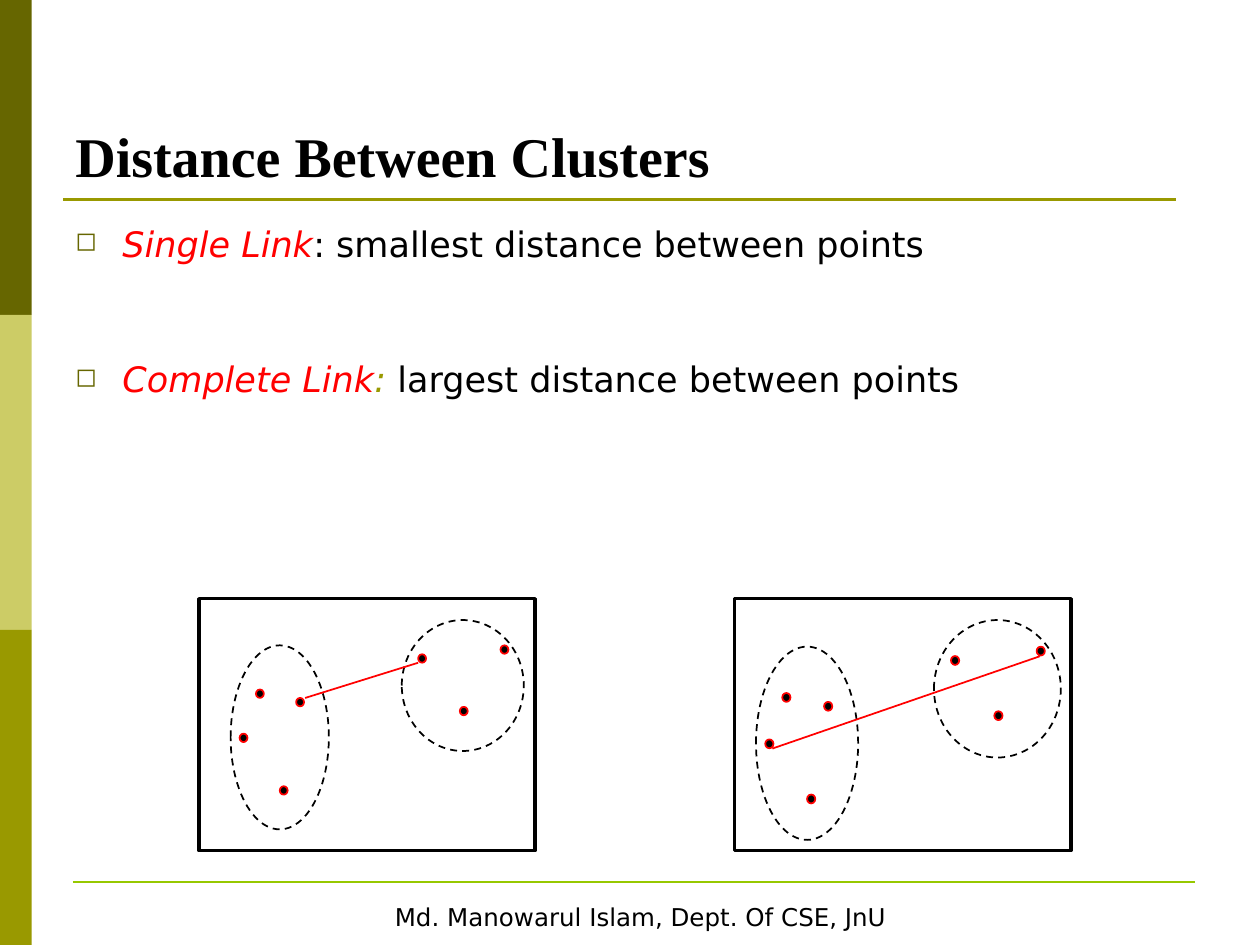
"""Build the slide on single-link and complete-link cluster distance."""
import dataclasses

import lxml.etree
import pptx
import pptx.dml.color
import pptx.enum.dml
import pptx.enum.shapes
import pptx.enum.text
import pptx.oxml.ns
import pptx.util

Cm = pptx.util.Cm
Pt = pptx.util.Pt
Shape = pptx.enum.shapes.MSO_SHAPE
qn = pptx.oxml.ns.qn


@dataclasses.dataclass(frozen=True)
class Theme:
    """Colours, fonts and type sizes of the slide."""
    ink: str = "000000"
    paper: str = "FFFFFF"
    accent: str = "FF0000"
    dark_olive: str = "666600"
    light_olive: str = "CCCC66"
    olive: str = "999900"
    lime: str = "96C800"
    heading_font: str = "Times New Roman"
    body_font: str = "DejaVu Sans"
    title_size: int = 32
    body_size: int = 20
    footer_size: int = 14


THEME = Theme()
DOTS = [(0.51, 1.4), (1.32, 1.57), (0.99, 3.35), (0.18, 2.29),
        (4.62, 1.75), (3.78, 0.69), (5.44, 0.51)]
CLUSTERS = [(0, 0.51, 1.98, 3.71), (3.45, 0, 2.46, 2.64)]


def rgb(value):
    """Return a colour object for a hex value."""
    return pptx.dml.color.RGBColor.from_string(value)


def add_figure(shapes, kind, place, fill=None, line=None, width=1, dashed=False):
    """Add a preset shape placed in centimetres."""
    figure = shapes.add_shape(kind, *map(Cm, place))
    figure.shadow.inherit = False
    if fill:
        figure.fill.solid()
        figure.fill.fore_color.rgb = rgb(fill)
    else:
        figure.fill.background()
    if line:
        figure.line.color.rgb = rgb(line)
        figure.line.width = Pt(width)
    else:
        figure.line.fill.background()
    if dashed:
        figure.line.dash_style = pptx.enum.dml.MSO_LINE.DASH
    return figure


def add_rule(shapes, start, end, color, width):
    """Add a straight line without a shadow."""
    rule = shapes.add_connector(pptx.enum.shapes.MSO_CONNECTOR.STRAIGHT,
                                *map(Cm, start + end))
    rule.line.color.rgb = rgb(color)
    rule.line.width = Pt(width)
    lxml.etree.SubElement(rule.element.spPr, qn("a:effectLst"))


def set_font(font, name, size, color):
    """Set the face, size and colour of a font."""
    font.name = name
    font.size = Pt(size)
    font.color.rgb = rgb(color)


def add_text_box(shapes, place):
    """Add a wrapping text box and return its frame."""
    frame = shapes.add_textbox(*map(Cm, place)).text_frame
    frame.word_wrap = True
    return frame


def add_bullet(para):
    """Give a paragraph a hanging hollow-square bullet."""
    properties = para._p.get_or_add_pPr()
    properties.set("marL", str(Cm(0.95)))
    properties.set("indent", str(-Cm(0.95)))
    color = lxml.etree.SubElement(properties, qn("a:buClr"))
    lxml.etree.SubElement(color, qn("a:srgbClr"), val=THEME.dark_olive)
    lxml.etree.SubElement(properties, qn("a:buSzPct"), val="75000")
    lxml.etree.SubElement(properties, qn("a:buChar"), char="◻")


def add_definition(para, parts, space_before):
    """Fill a bulleted paragraph with (text, colour, italic) parts."""
    add_bullet(para)
    para.line_spacing = 0.9
    para.space_before = Pt(space_before)
    para.font.name = THEME.body_font
    para.font.size = Pt(THEME.body_size)
    for text, color, italic in parts:
        span = para.add_run()
        span.text = text
        set_font(span.font, THEME.body_font, THEME.body_size, color)
        span.font.italic = italic


def add_backdrop(shapes):
    """Add the side stripes and the two horizontal rules."""
    for row, color in enumerate((THEME.dark_olive, THEME.light_olive, THEME.olive)):
        add_figure(shapes, Shape.RECTANGLE, (0, row * 6.35, 0.64, 6.35), color)
    add_rule(shapes, (1.27, 4.02), (23.7, 4.02), THEME.olive, 1.5)
    add_rule(shapes, (1.47, 17.78), (24.08, 17.78), THEME.lime, 1.5)


def add_footer(shapes, text):
    """Add the centred author line."""
    box = add_figure(shapes, Shape.RECTANGLE, (1.27, 18.03, 23.29, 0.89),
                     THEME.paper, THEME.paper, 2)
    box.text_frame.word_wrap = False
    para = box.text_frame.paragraphs[0]
    para.text = text
    para.alignment = pptx.enum.text.PP_ALIGN.CENTER
    set_font(para.font, THEME.body_font, THEME.footer_size, THEME.ink)


def add_title(shapes, text):
    """Add the bottom-anchored slide title."""
    frame = add_text_box(shapes, (1.27, 0.76, 22.86, 3.18))
    frame.vertical_anchor = pptx.enum.text.MSO_ANCHOR.BOTTOM
    para = frame.paragraphs[0]
    para.text = text
    set_font(para.font, THEME.heading_font, THEME.title_size, THEME.ink)
    para.font.bold = True


def add_definitions(shapes):
    """Add the two link definitions."""
    frame = add_text_box(shapes, (1.27, 4.45, 22.86, 12.57))
    add_definition(frame.paragraphs[0], [
        ("Single Link", THEME.accent, True),
        (": smallest distance between points", THEME.ink, False)], 0)
    add_definition(frame.add_paragraph(), [
        ("Complete Link", THEME.accent, True),
        (":", THEME.olive, True),
        (" largest distance between points", THEME.ink, False)], 55.6)


def add_diagram(shapes, frame_left, left, scale, link):
    """Add a framed pair of clusters joined by a link line."""
    group = shapes.add_group_shape().shapes
    top = 12.5
    across, down = scale
    for x, y in DOTS:
        add_figure(group, Shape.OVAL,
                   (left + x * across, top + y * down, 0.16 * across, 0.17 * down),
                   THEME.ink, THEME.accent)
    for x, y, width, height in CLUSTERS:
        add_figure(group, Shape.OVAL,
                   (left + x * across, top + y * down, width * across, height * down),
                   line=THEME.ink, dashed=True)
    add_rule(group, *link, THEME.accent, 1)
    add_figure(group, Shape.RECTANGLE, (frame_left, 12.07, 6.78, 5.08),
               line=THEME.ink, width=2)


def main():
    """Build and save the slide."""
    deck = pptx.Presentation()
    deck.slide_width, deck.slide_height = Cm(25.4), Cm(19.05)
    page = deck.slides.add_slide(deck.slide_layouts[6])
    add_backdrop(page.shapes)
    add_footer(page.shapes, "Md. Manowarul Islam, Dept. Of CSE, JnU")
    add_title(page.shapes, "Distance Between Clusters")
    add_definitions(page.shapes)
    add_diagram(page.shapes, 4.01, 4.65, (1, 1), ((6.15, 14.07), (8.43, 13.36)))
    add_diagram(page.shapes, 14.81, 15.24, (1.04, 1.05),
                ((15.57, 15.09), (20.96, 13.23)))
    deck.save("out.pptx")


if __name__ == "__main__":
    main()
